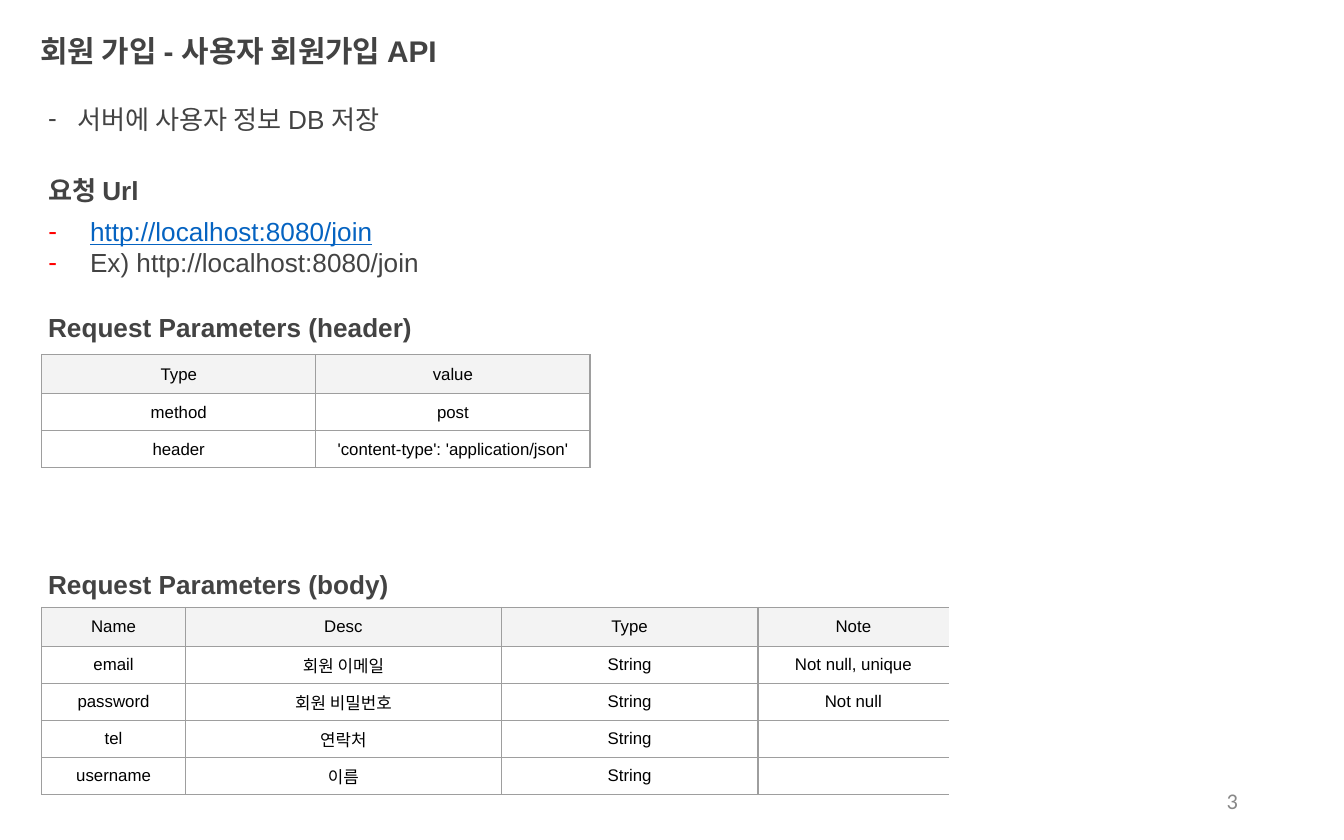
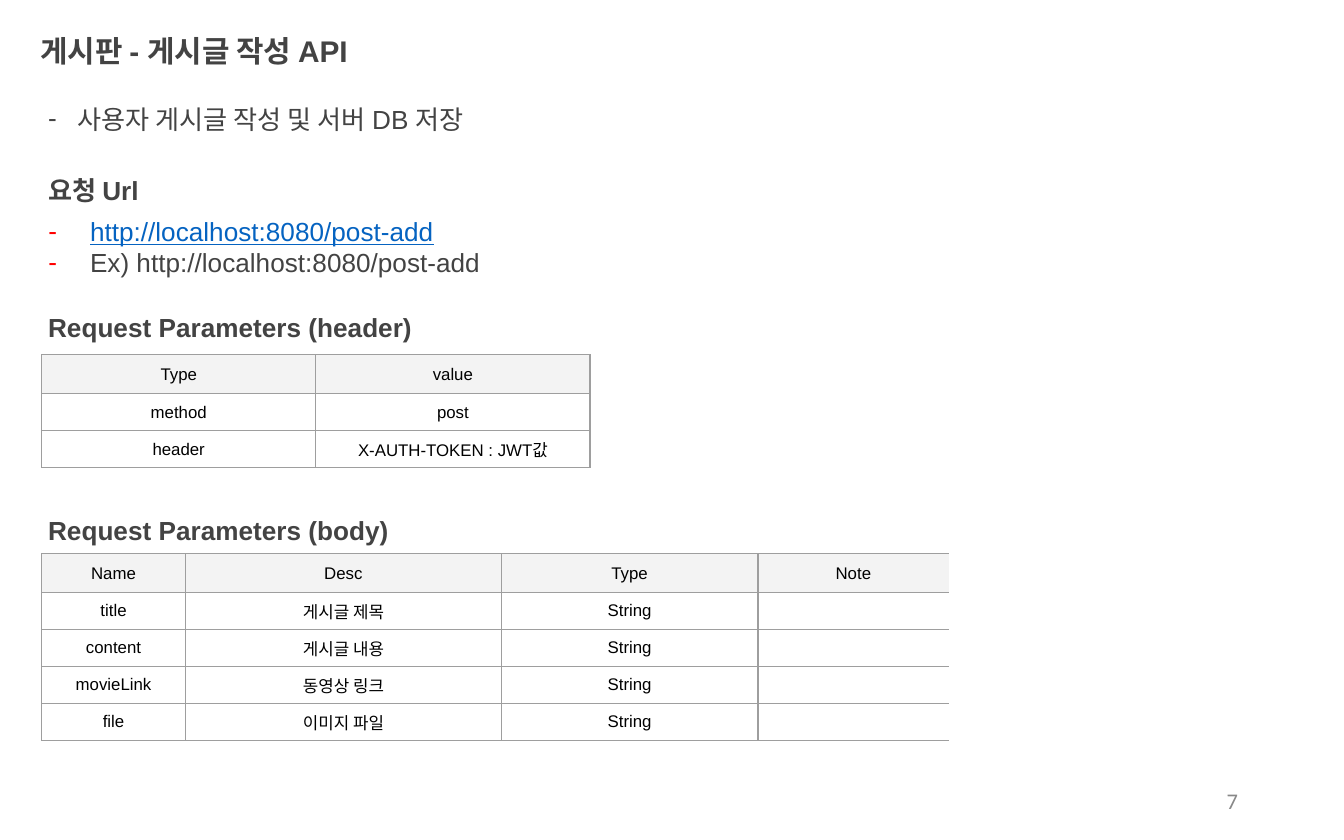
from dataclasses import dataclass
from typing import NamedTuple, Sequence

from lxml import etree
from pptx import Presentation
from pptx import util as u
from pptx.dml.color import RGBColor
from pptx.enum import shapes, text
from pptx.oxml import ns


@dataclass(frozen=True)
class Theme:
    """Colours, fonts and type sizes of the deck."""
    ink: str = "434343"
    link: str = "0563C1"
    dash: str = "FF0000"
    paper: str = "FFFFFF"
    cell_ink: str = "000000"
    header_fill: str = "F3F3F3"
    rule: str = "9E9E9E"
    page: str = "888888"
    font: str = "Arial"
    page_font: str = "Calibri"
    title_size: int = 16
    text_size: int = 14
    cell_size: int = 9
    page_size: int = 12
    rule_width: float = 0.75


class Box(NamedTuple):
    """A frame in percent of the slide's width and height."""
    left: float
    top: float
    width: float
    height: float


class Grid(NamedTuple):
    """Column shares of a table, and whether its right side is closed."""
    columns: tuple[float, ...]
    closed: bool


@dataclass(frozen=True)
class ApiPage:
    """The content of one API page."""
    number: int
    title: str
    summary: str
    summary_width: float
    url: str
    header_value: str
    body_top: float
    fields: Sequence[tuple[str, str, str, str]]


THEME = Theme()
WIDTH, HEIGHT = u.Inches(10), u.Inches(6.25)
LINE = 7.52
TEXT_LEFT, TABLE_LEFT = 2.6, 3.1
HEADER_ROW, DATA_ROW = 4.64, 4.4
HANGING, SUMMARY_INDENT, URL_INDENT = 1.0, 2.2, 3.1
CELL_MARGIN = 0.4
TITLE_BOX = Box(2, 2.24, 43.2, LINE)
URL_BOX = Box(TEXT_LEFT, 25.6, 74.1, LINE)
PAGE_BOX = Box(70.6, 92.64, 22.5, 5.28)
HEADER_GRID = Grid((20.4, 20.4), True)
BODY_GRID = Grid((10.7, 23.5, 19.1, 14.2), False)


def across(share: float) -> int:
    """Turn a percentage of the slide's width into a length."""
    return round(WIDTH * share / 100)


def down(share: float) -> int:
    """Turn a percentage of the slide's height into a length."""
    return round(HEIGHT * share / 100)


def frame(box: Box) -> tuple[int, int, int, int]:
    """Give left, top, width and height as lengths."""
    return across(box.left), down(box.top), across(box.width), down(box.height)


def style(paragraph, size: int, color: str, bold: bool = False,
          font: str = THEME.font, underline: bool = False) -> None:
    """Format every run of a paragraph."""
    for run in paragraph.runs:
        run.font.name, run.font.size = font, u.Pt(size)
        run.font.bold, run.font.underline = bold, underline
        run.font.color.rgb = RGBColor.from_string(color)


def indent(paragraph, share: float, dash_color: str | None = None) -> None:
    """Hang a paragraph, with a dash bullet if a colour is given."""
    paragraph.alignment = text.PP_ALIGN.LEFT
    paragraph.line_spacing = 1.0
    paragraph.space_before = paragraph.space_after = u.Pt(0)
    properties = paragraph._p.get_or_add_pPr()
    properties.set("marL", str(across(share)))
    properties.set("indent", str(-across(share)))
    if dash_color:
        color = etree.SubElement(properties, ns.qn("a:buClr"))
        etree.SubElement(color, ns.qn("a:srgbClr"), val=dash_color)
        etree.SubElement(properties, ns.qn("a:buFont"), typeface=THEME.font)
        etree.SubElement(properties, ns.qn("a:buChar"), char="-")


def set_up(holder, box: Box, words: str):
    """Place a text holder on white paper and fill in its words."""
    holder.left, holder.top, holder.width, holder.height = frame(box)
    holder.fill.solid()
    holder.fill.fore_color.rgb = RGBColor.from_string(THEME.paper)
    body = holder.text_frame
    body.text = words
    body.word_wrap = True
    body.auto_size = text.MSO_AUTO_SIZE.NONE
    body.vertical_anchor = text.MSO_ANCHOR.MIDDLE
    return body.paragraphs


def add_line(slide, box: Box, words: str, bold: bool = True,
             share: float = HANGING, dash_color: str | None = None):
    """Draw one line of text on a plain rectangle."""
    line = slide.shapes.add_shape(shapes.MSO_SHAPE.RECTANGLE, *frame(box))
    line.shadow.inherit = False
    line.line.fill.background()
    paragraph, = set_up(line, box, words)
    indent(paragraph, share, dash_color)
    style(paragraph, THEME.text_size, THEME.ink, bold)
    return line


def rule_cell(cell, open_right: bool) -> None:
    """Draw the four borders of a cell, leaving the right one out if open."""
    properties = cell._tc.get_or_add_tcPr()
    for side in "LRTB":
        border = etree.SubElement(properties, ns.qn(f"a:ln{side}"),
                                  w=str(u.Pt(THEME.rule_width)))
        if side == "R" and open_right:
            etree.SubElement(border, ns.qn("a:noFill"))
        else:
            fill = etree.SubElement(border, ns.qn("a:solidFill"))
            etree.SubElement(fill, ns.qn("a:srgbClr"), val=THEME.rule)


def fill_cell(cell, words: str, is_header: bool, open_right: bool) -> None:
    """Write and format one table cell."""
    cell.text = words
    cell.vertical_anchor = text.MSO_ANCHOR.MIDDLE
    cell.margin_left = cell.margin_right = across(CELL_MARGIN)
    cell.margin_top = cell.margin_bottom = across(CELL_MARGIN)
    paragraph = cell.text_frame.paragraphs[0]
    paragraph.alignment = text.PP_ALIGN.CENTER
    style(paragraph, THEME.cell_size, THEME.cell_ink)
    if not words:
        etree.SubElement(paragraph._p, ns.qn("a:endParaRPr"),
                         sz=str(THEME.cell_size * 100))
    rule_cell(cell, open_right)
    if is_header:
        cell.fill.solid()
        cell.fill.fore_color.rgb = RGBColor.from_string(THEME.header_fill)
    else:
        cell.fill.background()


def add_parameters(slide, heading: str, top: float, gap: float, grid: Grid,
                   rows: Sequence[tuple[str, ...]]) -> None:
    """Draw a heading and, a gap below its top, its parameter table."""
    add_line(slide, Box(TEXT_LEFT, top, 32.4, LINE), heading)
    box = Box(TABLE_LEFT, top + gap, sum(grid.columns),
              HEADER_ROW + DATA_ROW * (len(rows) - 1))
    table = slide.shapes.add_table(len(rows), len(grid.columns), *frame(box)).table
    table.first_row = table.horz_banding = False
    for column, share in zip(table.columns, grid.columns):
        column.width = across(share)
    for r, row in enumerate(rows):
        table.rows[r].height = down(DATA_ROW if r else HEADER_ROW)
        for c, words in enumerate(row):
            is_last = c == len(row) - 1
            fill_cell(table.cell(r, c), words, r == 0, is_last and not grid.closed)


def add_page_number(slide, number: int) -> None:
    """Write the page number at the lower right."""
    page = slide.shapes.add_textbox(*frame(PAGE_BOX)).text_frame
    page.text = str(number)
    page.word_wrap = True
    page.vertical_anchor = text.MSO_ANCHOR.MIDDLE
    page.paragraphs[0].alignment = text.PP_ALIGN.RIGHT
    style(page.paragraphs[0], THEME.page_size, THEME.page, font=THEME.page_font)


def add_api_page(deck, page: ApiPage) -> None:
    """Build one API page."""
    slide = deck.slides.add_slide(deck.slide_layouts[1])
    title, urls = slide.placeholders
    add_page_number(slide, page.number)

    heading, = set_up(title, TITLE_BOX, page.title)
    indent(heading, HANGING)
    style(heading, THEME.title_size, THEME.ink, bold=True)

    add_line(slide, Box(TEXT_LEFT, 10.4, page.summary_width, LINE), page.summary,
             False, SUMMARY_INDENT, THEME.ink)
    url_heading = add_line(slide, Box(TEXT_LEFT, 18.88, 43.2, LINE), "요청 Url")

    address, example = set_up(urls, URL_BOX, f"{page.url}\nEx) {page.url}")
    for paragraph in (address, example):
        indent(paragraph, URL_INDENT, THEME.dash)
    style(address, THEME.text_size, THEME.link, underline=True)
    style(example, THEME.text_size, THEME.ink)
    url_heading.element.addnext(urls.element)

    add_parameters(slide, "Request Parameters (header)", 35.2, 7.04, HEADER_GRID,
                   [("Type", "value"), ("method", "post"),
                    ("header", page.header_value)])
    add_parameters(slide, "Request Parameters (body)", page.body_top, 6.56, BODY_GRID,
                   [("Name", "Desc", "Type", "Note"), *page.fields])


PAGES = (
    ApiPage(
        3, "회원 가입 - 사용자 회원가입 API", "서버에 사용자 정보 DB 저장", 57.3,
        "http://localhost:8080/join", "'content-type': 'application/json'", 65.76,
        (("email", "회원 이메일", "String", "Not null, unique"),
         ("password", "회원 비밀번호", "String", "Not null"),
         ("tel", "연락처", "String", ""),
         ("username", "이름", "String", ""))),
    ApiPage(
        7, "게시판 - 게시글 작성 API", "사용자 게시글 작성 및 서버 DB 저장", 78.4,
        "http://localhost:8080/post-add", "X-AUTH-TOKEN : JWT값", 59.36,
        (("title", "게시글 제목", "String", ""),
         ("content", "게시글 내용", "String", ""),
         ("movieLink", "동영상 링크", "String", ""),
         ("file", "이미지 파일", "String", ""))),
)


def main() -> None:
    """Build and save the deck."""
    deck = Presentation()
    deck.slide_width, deck.slide_height = WIDTH, HEIGHT
    for page in PAGES:
        add_api_page(deck, page)
    deck.save("out.pptx")


main()
